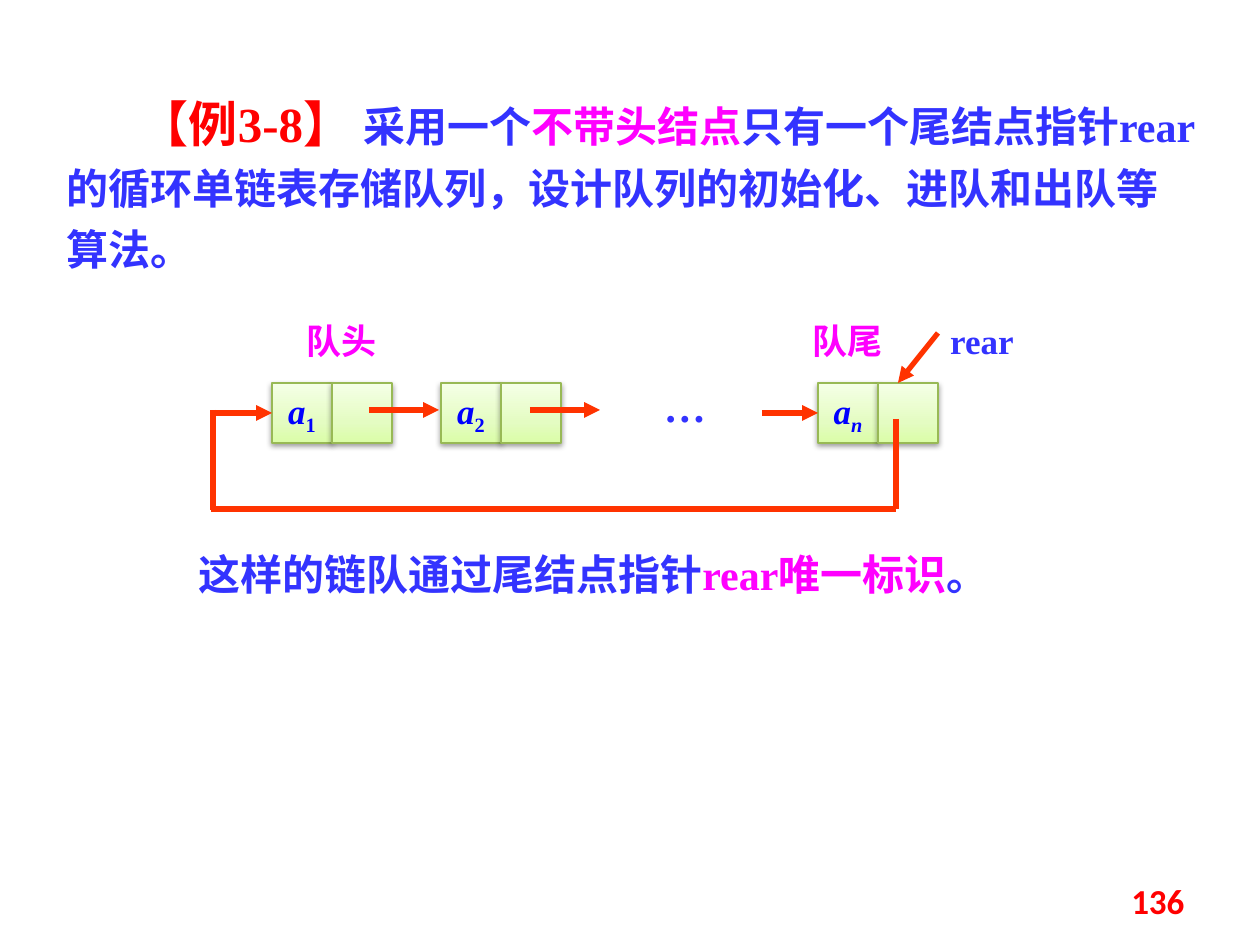
from lxml.etree import SubElement
from pptx import Presentation
from pptx.dml.color import RGBColor
from pptx.enum.shapes import MSO_CONNECTOR, MSO_SHAPE
from pptx.enum.text import MSO_ANCHOR, MSO_AUTO_SIZE, PP_ALIGN
from pptx.oxml import parse_xml
from pptx.oxml.ns import nsdecls, qn
from pptx.util import Emu, Pt

PX = 914400 // 126

BLUE = RGBColor(0x33, 0x33, 0xFF)
DARK_BLUE = RGBColor(0x00, 0x00, 0xFF)
MAGENTA = RGBColor(0xFF, 0x00, 0xFF)
RED = RGBColor(0xFF, 0x00, 0x00)
ORANGE = RGBColor(0xFF, 0x33, 0x00)
GREEN = RGBColor(0x98, 0xB9, 0x55)

CELL_GRADIENT = f"""<a:gradFill {nsdecls('a')} rotWithShape="1"><a:gsLst>
<a:gs pos="0"><a:srgbClr val="DAFDA7"/></a:gs>
<a:gs pos="35000"><a:srgbClr val="E4FCC2"/></a:gs>
<a:gs pos="100000"><a:srgbClr val="F5FFE7"/></a:gs>
</a:gsLst><a:lin ang="16200000" scaled="1"/></a:gradFill>"""
CELL_SHADOW = f"""<a:effectLst {nsdecls('a')}>
<a:outerShdw blurRad="40000" dist="20000" dir="5400000" rotWithShape="0">
<a:srgbClr val="000000"><a:alpha val="38000"/></a:srgbClr>
</a:outerShdw></a:effectLst>"""

presentation = Presentation()
presentation.slide_width = Emu(1260 * PX)
presentation.slide_height = Emu(945 * PX)
slide = presentation.slides.add_slide(presentation.slide_layouts[6])


def add_runs(paragraph, runs, **shared):
    """Each run is (text, format values that differ from the shared ones)."""
    for text, own in runs:
        run = paragraph.add_run()
        run.text = text
        values = {"name": "Times New Roman", "bold": True, **shared, **own}
        color = values.pop("color")
        baseline = values.pop("baseline", None)
        for attribute, value in values.items():
            setattr(run.font, attribute, value)
        run.font.color.rgb = color
        if baseline:
            run.font._element.set("baseline", baseline)


def add_line(start, end, arrow=True):
    points = [Emu(value * PX) for value in (*start, *end)]
    line = slide.shapes.add_connector(MSO_CONNECTOR.STRAIGHT, *points)
    line.line.color.rgb = ORANGE
    line.line.width = Pt(3)
    if arrow:
        SubElement(line.line._get_or_add_ln(), qn("a:tailEnd"), type="triangle")
    SubElement(line._element.spPr, qn("a:effectLst"))
    return line


# Text: box, alignment, size, runs
texts = [
    ((54, 76, 1157, 207), PP_ALIGN.LEFT, 24, [
        ("【例3-8】 ", {"color": RED, "size": Pt(28)}),
        ("采用一个", {"color": BLUE}),
        ("不带头结点", {"color": MAGENTA}),
        ("只有一个尾结点指针rear的循环单链表存储队列，设计队列的初始化、进队和出队等算法。",
         {"color": BLUE})]),
    ((927, 313, 110, 54), PP_ALIGN.CENTER, 20, [("rear", {"color": BLUE})]),
    ((282, 313, 120, 54), PP_ALIGN.CENTER, 20, [("队头", {"color": MAGENTA})]),
    ((788, 313, 120, 54), PP_ALIGN.CENTER, 20, [("队尾", {"color": MAGENTA})]),
    ((630, 374, 110, 63), PP_ALIGN.CENTER, 24, [("…", {"color": BLUE})]),
    ((147, 542, 893, 63), PP_ALIGN.CENTER, 24, [
        ("这样的链队通过尾结点指针", {"color": BLUE}),
        ("rear唯一标识", {"color": MAGENTA}),
        ("。", {"color": BLUE})]),
    ((903, 876, 294, 50), PP_ALIGN.RIGHT, 20,
     [("136", {"color": RED, "name": "Calibri"})]),
]
boxes = []
for box, alignment, size, runs in texts:
    shape = slide.shapes.add_textbox(*(Emu(value * PX) for value in box))
    shape.text_frame.word_wrap = True
    shape.text_frame.auto_size = MSO_AUTO_SIZE.SHAPE_TO_FIT_TEXT
    paragraph = shape.text_frame.paragraphs[0]
    paragraph.alignment = alignment
    add_runs(paragraph, runs, size=Pt(size))
    boxes.append(shape)

# Problem statement: first-line indent and wider lines
statement = boxes[0].text_frame.paragraphs[0]
statement.line_spacing = 1.2
statement._p.get_or_add_pPr().set("indent", str(Pt(42)))

# Page number
boxes[-1].text_frame.auto_size = MSO_AUTO_SIZE.NONE
boxes[-1].text_frame.vertical_anchor = MSO_ANCHOR.MIDDLE

# List nodes: a data cell and a pointer cell each
CELL, NODE_TOP = 60, 383
data_cells = []
for left, subscript, slanted in ((272, "1", False), (441, "2", False), (818, "n", True)):
    for column in range(2):
        cell = slide.shapes.add_shape(
            MSO_SHAPE.RECTANGLE, Emu((left + column * CELL) * PX), Emu(NODE_TOP * PX),
            Emu(CELL * PX), Emu(CELL * PX))
        cell.line.color.rgb = GREEN
        cell.line.width = Pt(0.75)
        properties = cell._element.spPr
        properties.insert_element_before(parse_xml(CELL_GRADIENT), "a:ln")
        properties.append(parse_xml(CELL_SHADOW))
        if column == 0:
            data_cells.append(cell)
            cell.text_frame.word_wrap = False
            cell.text_frame.vertical_anchor = MSO_ANCHOR.MIDDLE
            paragraph = cell.text_frame.paragraphs[0]
            paragraph.alignment = PP_ALIGN.CENTER
            add_runs(paragraph, [("a", {"italic": True}),
                                 (subscript, {"italic": slanted, "baseline": "-25000"})],
                     size=Pt(20), color=DARK_BLUE)

# Links between nodes and the rear pointer
MIDDLE = NODE_TOP + CELL // 2
add_line((369, 410), (439, 410))
add_line((530, 410), (600, 410))
add_line((762, MIDDLE), (818, MIDDLE)).end_connect(data_cells[2], 1)
add_line((938, 333), (898, NODE_TOP))

# Loop from the last node back to the first
add_line((896, 419), (896, 509), arrow=False)
add_line((211, 509), (896, 509), arrow=False)
add_line((213, 410), (213, 510), arrow=False)
add_line((213, MIDDLE), (272, MIDDLE)).end_connect(data_cells[0], 1)

presentation.save("out.pptx")
